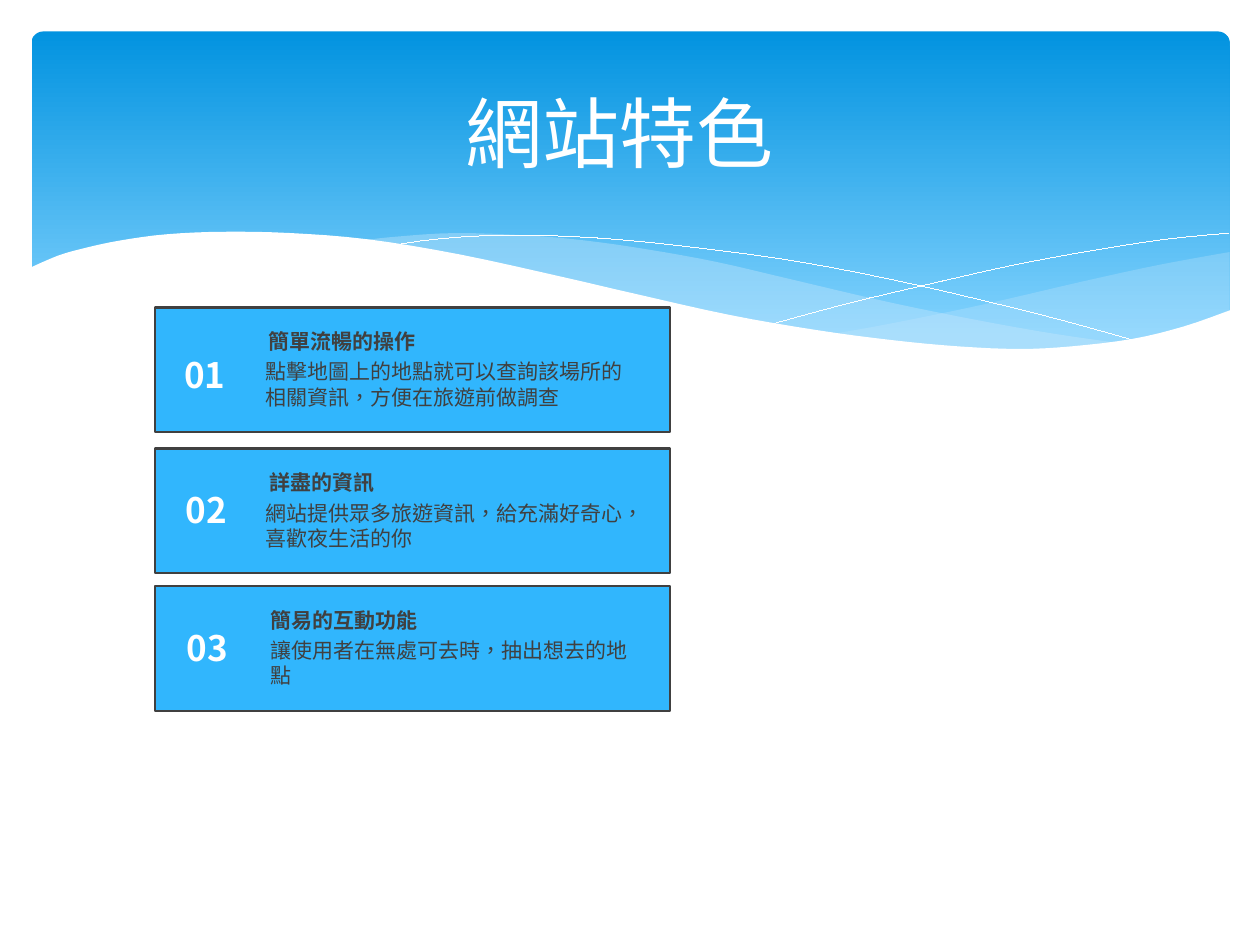
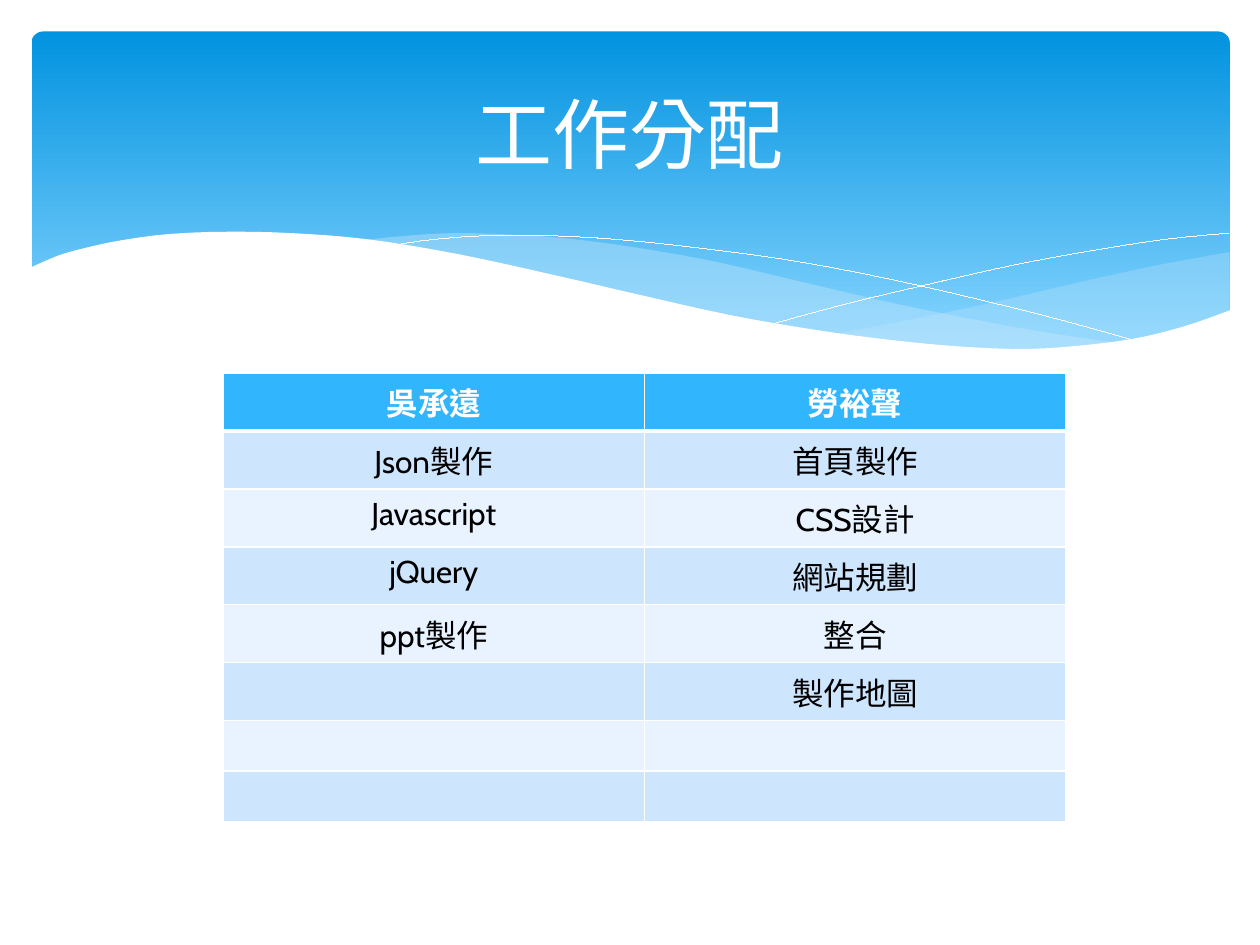
from lxml import etree
from pptx import Presentation, util as u
from pptx.dml.color import RGBColor
from pptx.enum import shapes, text
from pptx.oxml.ns import qn

WIDE, HIGH = 10, 7.5
HUES = {
    "top": "0293E0", "low": "83D3FE", "mist": "C6E7FC", "white": "FFFFFF",
    "card": "31B6FD", "ink": "404040", "black": "000000",
    "odd": "CEE5FE", "even": "E8F3FF",
}
LATIN, HAN = "Cabin", "Noto Sans CJK SC"

# Each wave: runs of guide points, fill, opacity in percent
WAVES = [
    ([[(9.76, 2), (9.21, 2.1), (8.61, 2.23), (7.79, 2.42), (7.06, 2.57),
       (6.61, 2.65)],
      [(6.61, 2.65), (7.05, 2.71), (7.57, 2.76), (8.03, 2.78), (8.54, 2.76),
       (8.97, 2.7), (9.35, 2.62), (9.76, 2.47)]], "mist", 29),
    ([[(8.93, 2.73), (8.37, 2.65), (7.75, 2.54), (7.06, 2.4), (6.29, 2.22),
       (5.69, 2.08), (5.14, 1.98), (4.65, 1.91), (4.2, 1.87), (3.61, 1.85),
       (3.13, 1.88), (2.86, 1.91)],
      [(2.86, 1.91), (3.42, 1.99), (4.04, 2.11), (4.49, 2.22), (5.3, 2.4),
       (6.01, 2.55), (6.65, 2.66), (7.22, 2.74), (7.73, 2.77), (8.18, 2.78),
       (8.57, 2.77), (8.93, 2.73)]], "mist", 40),
    ([[(3.09, 1.95), (3.44, 1.9), (3.87, 1.87), (4.33, 1.87), (4.89, 1.9),
       (5.56, 1.97), (6.36, 2.08), (7.27, 2.26), (8.31, 2.51),
       (9.07, 2.72)]], None, None),
    ([[(6.13, 2.57), (6.72, 2.41), (7.48, 2.23), (8.06, 2.1), (8.66, 1.99),
       (9.24, 1.9), (9.75, 1.85)]], None, None),
    ([[(9.77, 2.46), (9.4, 2.59), (8.99, 2.69), (8.5, 2.75), (8.09, 2.77),
       (7.61, 2.75), (7.08, 2.7), (6.48, 2.62), (5.79, 2.5), (5.03, 2.33),
       (4.47, 2.2), (3.65, 2.02), (2.92, 1.9), (2.3, 1.85), (1.77, 1.84),
       (1.32, 1.86), (0.95, 1.91), (0.67, 1.97), (0.46, 2.03), (0.23, 2.13)],
      [(0.23, 3.29), (9.77, 3.29)]], "white", 100),
]

# Card top, number drop, body left, heading, body
CARDS = [
    (2.44, 0.32, 2.01, "簡單流暢的操作",
     "點擊地圖上的地點就可以查詢該場所的相關資訊，方便在旅遊前做調查"),
    (3.56, 0.27, 2.01, "詳盡的資訊",
     "網站提供眾多旅遊資訊，給充滿好奇心，喜歡夜生活的你"),
    (4.65, 0.27, 2.05, "簡易的互動功能",
     "讓使用者在無處可去時，抽出想去的地點"),
]

TASKS = [
    ("吳承遠", "勞裕聲"),
    ("Json製作", "首頁製作"),
    ("Javascript", "CSS設計"),
    ("jQuery", "網站規劃"),
    ("ppt製作", "整合"),
    ("", "製作地圖"),
    ("", ""),
    ("", ""),
]
FULL, BARE = 0.46, 0.4  # heights of rows with and without words


def rgb(hue):
    return RGBColor.from_string(HUES[hue])


def inch(*sizes):
    return [u.Inches(s) for s in sizes]


def paint(shape, hue=None, edge=None, width=0):
    shape.shadow.inherit = False
    if hue:
        shape.fill.solid()
        shape.fill.fore_color.rgb = rgb(hue)
    else:
        shape.fill.background()
    if edge:
        shape.line.color.rgb = rgb(edge)
        # Written straight to XML, so that a hairline keeps its zero
        shape._element.spPr.find(qn("a:ln")).set("w", str(u.Pt(width)))
    else:
        shape.line.fill.background()


def style(frame, size, hue, font=LATIN, bold=False, align=None):
    para = frame.paragraphs[0]
    para.alignment = align
    for run in para.runs:
        face = run.font
        face.size, face.bold, face.name = u.Pt(size), bold, font
        face.color.rgb = rgb(hue)
        props = run._r.get_or_add_rPr()
        props.set("lang", "zh-TW")
        if font == HAN:
            east = etree.Element(qn("a:ea"), typeface=font)
            props.find(qn("a:latin")).addnext(east)


def write(slide, box, words, *look, wrap=True, middle=False, **more):
    frame = slide.shapes.add_textbox(*inch(*box)).text_frame
    frame.text = words
    frame.word_wrap = wrap
    if middle:
        frame.vertical_anchor = text.MSO_ANCHOR.MIDDLE
    else:
        frame.auto_size = text.MSO_AUTO_SIZE.SHAPE_TO_FIT_TEXT
    style(frame, *look, **more)


def smooth(guide, steps=4):
    """Points on a Catmull-Rom curve through the guide points."""
    if len(guide) < 3:
        return guide
    ends = [guide[0], *guide, guide[-1]]
    curve = []
    for four in zip(ends, ends[1:], ends[2:], ends[3:]):
        for n in range(steps):
            t = n / steps
            curve.append(tuple(
                b + t / 2 * (c - a + t * (2 * a - 5 * b + 4 * c - d
                                          + t * (3 * b - a - 3 * c + d)))
                for a, b, c, d in zip(*four)))
    return curve + [guide[-1]]


def wave(slide, runs, hue, share):
    dots = [inch(*dot) for run in runs for dot in smooth(run)]
    pen = slide.shapes.build_freeform(*dots[0])
    pen.add_line_segments(dots[1:], close=bool(hue))
    shape = pen.convert_to_shape()
    paint(shape, hue, None if hue else "white")
    if hue and share < 100:
        tint = shape._element.spPr.find(".//" + qn("a:srgbClr"))
        etree.SubElement(tint, qn("a:alpha"), val=str(share * 1000))


def start(deck, title, left, top):
    """New slide with the sky band, its waves and the title."""
    slide = deck.slides.add_slide(deck.slide_layouts[6])
    band = slide.shapes.add_shape(shapes.MSO_SHAPE.ROUNDED_RECTANGLE,
                                  *inch(0.25, 0.25, WIDE - 0.49, 2.7))
    band.adjustments[0] = 0.034
    paint(band)
    band.fill.gradient()
    band.fill.gradient_angle = 270
    for stop, hue, at in zip(band.fill.gradient_stops,
                             ("top", "low"), (0, 0.9)):
        stop.color.rgb, stop.position = rgb(hue), at
    for parts in WAVES:
        wave(slide, *parts)
    write(slide, (left, top, 9, 1.37), title, 44, "white",
          middle=True, align=text.PP_ALIGN.CENTER)
    return slide


def cards(slide):
    for i, (top, drop, left, head, body) in enumerate(CARDS):
        shift = i * 0.01
        card = slide.shapes.add_shape(shapes.MSO_SHAPE.RECTANGLE,
                                      *inch(1.23, top, 4.09, 0.99))
        paint(card, "card", "ink", 1.25)
        write(slide, (left, top + 0.36, 3.15, 0.5), body, 12, "ink", HAN)
        write(slide, (2.03 + shift, top + 0.12, 3.15, 0.3), head,
              12, "ink", HAN, True)
        write(slide, (1.35 + shift, top + drop, 0.54, 0.44), f"{i + 1:02}",
              20, "white", HAN, True, wrap=False, align=text.PP_ALIGN.RIGHT)


def border(cell, row):
    """White rules round a cell, thick between the head and the rows."""
    props = cell._tc.get_or_add_tcPr()
    thick = {(0, "B"), (1, "T")}
    for spot, side in enumerate("LRTB"):
        width = u.Pt(3 if (row, side) in thick else 1)
        line = etree.Element(qn("a:ln" + side), w=str(width))
        fill = etree.SubElement(line, qn("a:solidFill"))
        etree.SubElement(fill, qn("a:srgbClr"), val=HUES["white"])
        props.insert(spot, line)


def table(slide):
    highs = [FULL if any(names) else BARE for names in TASKS]
    grid = slide.shapes.add_table(len(TASKS), len(TASKS[0]),
                                  *inch(1.77, 2.96, 6.69, sum(highs))).table
    for r, names in enumerate(TASKS):
        grid.rows[r].height = u.Inches(highs[r])
        for c, name in enumerate(names):
            cell = grid.cell(r, c)
            cell.text = name
            cell.fill.solid()
            hue = "odd" if r % 2 else "even" if r else "card"
            cell.fill.fore_color.rgb = rgb(hue)
            style(cell.text_frame, 18, "black" if r else "white",
                  bold=not r, align=text.PP_ALIGN.CENTER)
            border(cell, r)


def main():
    deck = Presentation()
    deck.slide_width, deck.slide_height = inch(WIDE, HIGH)
    cards(start(deck, "網站特色", 0.42, 0.36))
    table(start(deck, "工作分配", 0.5, 0.37))
    deck.save("out.pptx")


if __name__ == "__main__":
    main()
